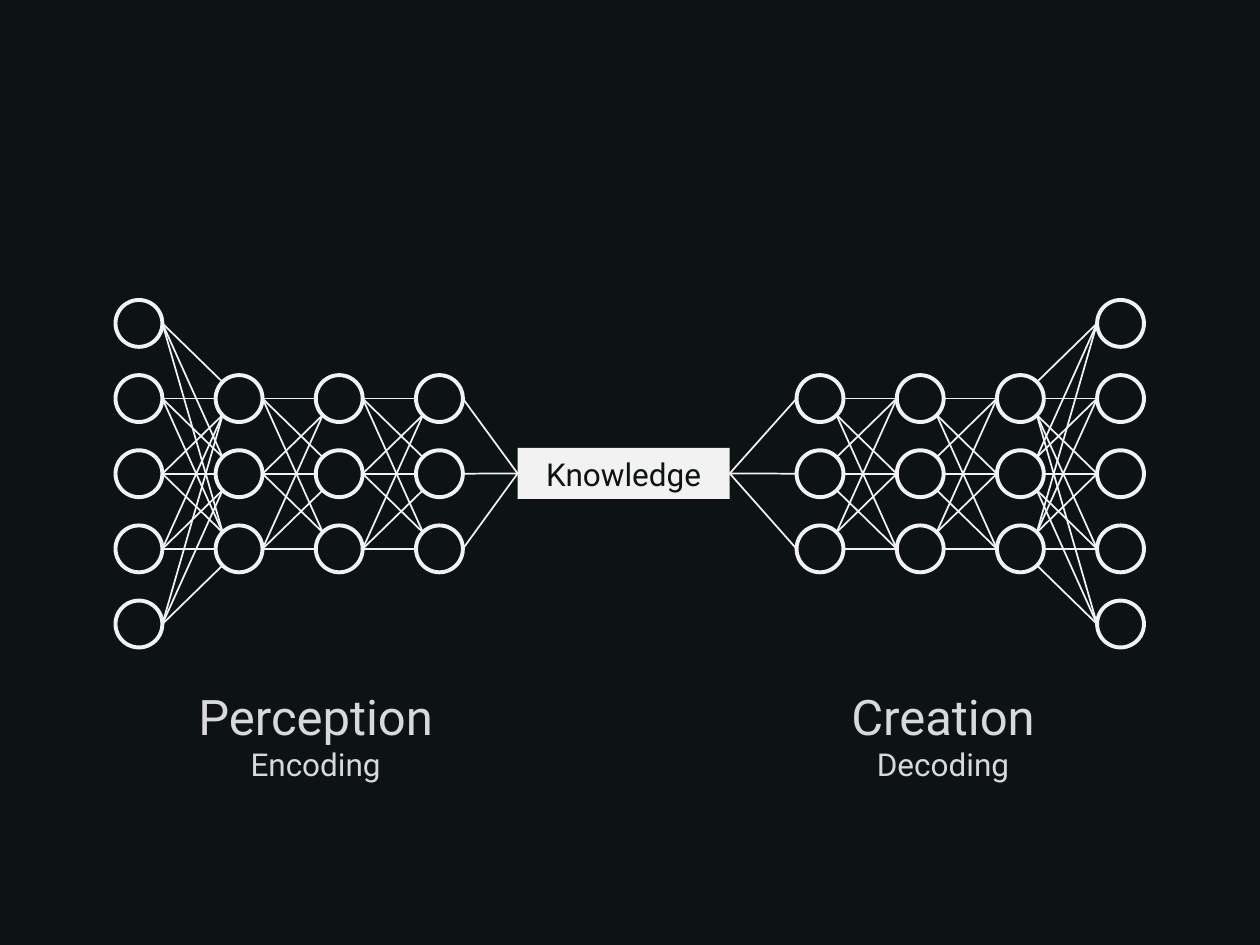
from lxml import etree
from pptx import Presentation
from pptx.dml import color
from pptx.enum import shapes, text
from pptx.oxml import ns
from pptx.util import Pt

FONT = "Roboto"
BACKDROP, CHALK, CAPTION = "0D1215", "F2F2F2", "D9D9D9"
NODE = 26.8
RADIUS = NODE / 2
DIAGONAL = RADIUS * 0.7
LAYERS = (5, 3, 3, 3)


def rgb(value):
    return color.RGBColor.from_string(value)


def write(paragraph, words, size, ink):
    paragraph.alignment = text.PP_ALIGN.CENTER
    run = paragraph.add_run()
    run.text = words
    run.font.name = FONT
    run.font.size = Pt(size)
    run.font.color.rgb = rgb(ink)


def draw_link(parts, start, end):
    link = parts.add_connector(
        shapes.MSO_CONNECTOR.STRAIGHT, *(Pt(v) for v in (*start, *end)))
    link.line.color.rgb = rgb(CHALK)
    link.line.width = Pt(1)
    etree.SubElement(link._element.spPr, ns.qn("a:effectLst"))


def draw_neuron(parts, x, y):
    neuron = parts.add_shape(shapes.MSO_SHAPE.OVAL, Pt(x - RADIUS),
                             Pt(y - RADIUS), Pt(NODE), Pt(NODE))
    neuron.shadow.inherit = False
    neuron.fill.background()
    neuron.line.color.rgb = rgb(CHALK)
    neuron.line.width = Pt(2.25)


def draw_network(parts, left, top, width, height, inward):
    column_gap = (width - NODE) / (len(LAYERS) - 1)
    row_gap = (height - NODE) / (max(LAYERS) - 1)
    outer_x = left + RADIUS if inward > 0 else left + width - RADIUS
    middle = top + height / 2
    layers = [
        [(outer_x + inward * i * column_gap,
          middle + (row - (count - 1) / 2) * row_gap) for row in range(count)]
        for i, count in enumerate(LAYERS)]
    for layer in layers:
        for x, y in layer:
            draw_neuron(parts, x, y)
    for sources, targets in zip(layers, layers[1:]):
        for source_x, source_y in sources:
            for x, y in targets:
                if abs(source_y - y) < 1:
                    end = (x - inward * RADIUS, y)
                else:
                    toward = 1 if source_y > y else -1
                    end = (x - inward * DIAGONAL, y + toward * DIAGONAL)
                draw_link(parts, (source_x + inward * RADIUS, source_y), end)
    return [(x + inward * RADIUS, y) for x, y in layers[-1]]


def draw_knowledge(parts, left, top, width, height):
    knowledge = parts.add_shape(shapes.MSO_SHAPE.RECTANGLE, Pt(left), Pt(top),
                                Pt(width), Pt(height))
    knowledge.shadow.inherit = False
    knowledge.fill.solid()
    knowledge.fill.fore_color.rgb = rgb(CHALK)
    knowledge.line.fill.background()
    frame = knowledge.text_frame
    frame.word_wrap = True
    frame.vertical_anchor = text.MSO_ANCHOR.MIDDLE
    write(frame.paragraphs[0], "Knowledge", size=18, ink=BACKDROP)
    return (left, top + height / 2), (left + width, top + height / 2)


def draw_caption(parts, left, top, width, height, stage, process):
    caption = parts.add_textbox(Pt(left), Pt(top), Pt(width), Pt(height))
    frame = caption.text_frame
    frame.word_wrap = True
    write(frame.paragraphs[0], stage, size=28, ink=CAPTION)
    write(frame.add_paragraph(), process, size=18, ink=CAPTION)


def build_slide(deck):
    slide = deck.slides.add_slide(deck.slide_layouts[6])
    slide.background.fill.solid()
    slide.background.fill.fore_color.rgb = rgb(BACKDROP)

    diagram = slide.shapes.add_group_shape().shapes
    encoder = draw_network(diagram, 66, 171.4, 198.5, 198.6, inward=1)
    decoder = draw_network(diagram, 455.2, 171.4, 198.5, 198.6, inward=-1)
    entry, outlet = draw_knowledge(diagram, 295.8, 256, 121.2, 29.1)
    for neurons, port in ((encoder, entry), (decoder, outlet)):
        for neuron in neurons:
            draw_link(diagram, neuron, port)

    draw_caption(slide.shapes, 0.4, 388.8, 360, 65.5, "Perception", "Encoding")
    draw_caption(slide.shapes, 358.9, 388.8, 360, 65.5, "Creation", "Decoding")


def main():
    deck = Presentation()
    deck.slide_width, deck.slide_height = Pt(720), Pt(540)
    build_slide(deck)
    deck.save("out.pptx")


if __name__ == "__main__":
    main()
